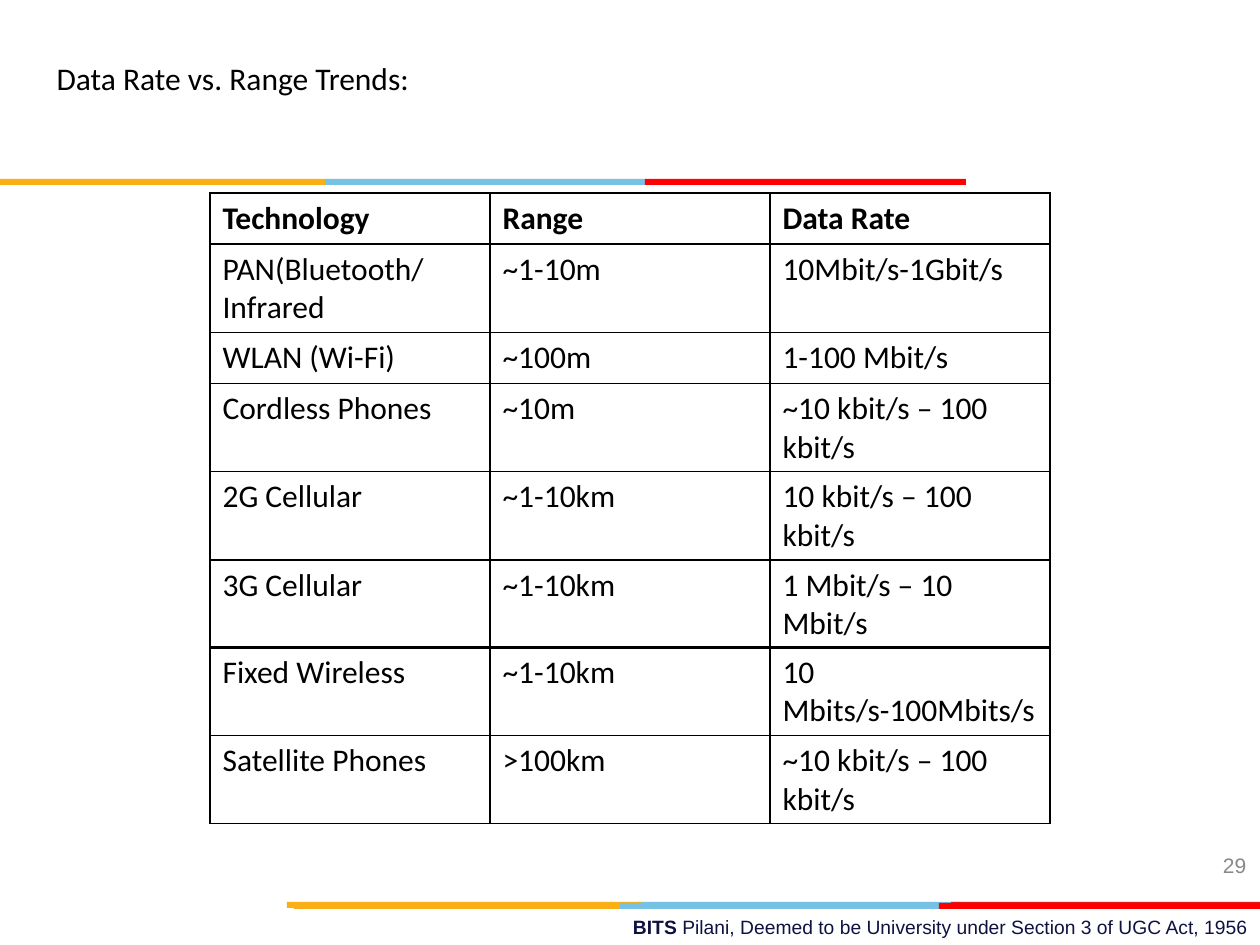
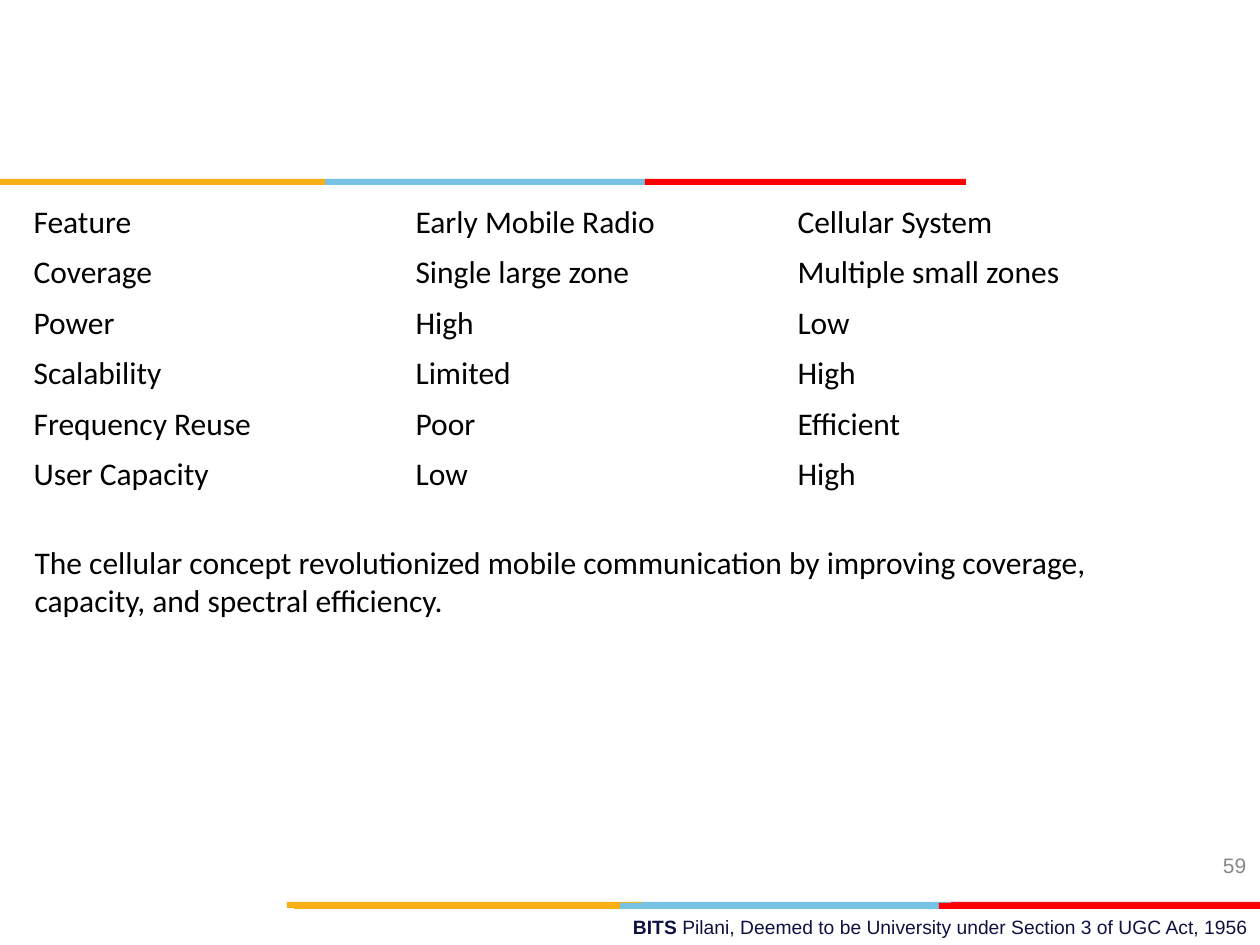
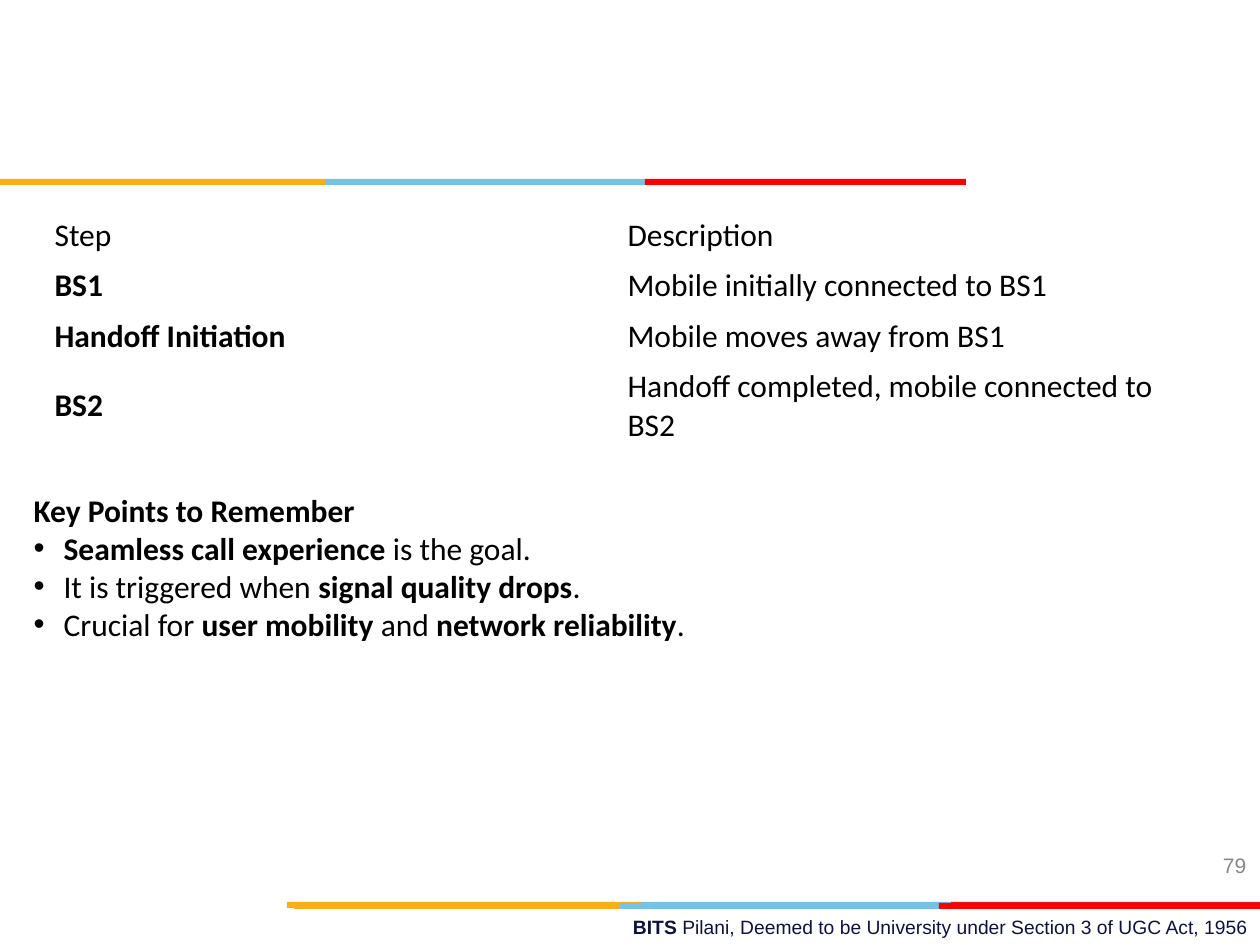
import dataclasses

import lxml.etree
import pptx
import pptx.dml.color
import pptx.enum.shapes
import pptx.enum.text
import pptx.oxml.ns
import pptx.util

PX = pptx.util.Inches(1) / 126
TOP = pptx.enum.text.MSO_ANCHOR.TOP
MIDDLE = pptx.enum.text.MSO_ANCHOR.MIDDLE


def px(length):
    return pptx.util.Emu(round(length * PX))


def color(value):
    return pptx.dml.color.RGBColor.from_string(value)


def child(parent, tag, **attributes):
    return lxml.etree.SubElement(parent, pptx.oxml.ns.qn(tag), attributes)


@dataclasses.dataclass(frozen=True)
class Theme:
    amber: str = "FBAF17"
    sky: str = "76C2E4"
    red: str = "FF0000"
    crimson: str = "E21C23"
    ink: str = "000000"
    navy: str = "0F1141"
    gray: str = "888888"
    text_font: str = "Calibri"
    footer_font: str = "Arial"
    text_size: int = 18
    number_size: int = 12
    footer_size: int = 11


class Lecture:
    """Hold the deck, its theme and the current page."""

    def __init__(self, theme):
        self.theme = theme
        self.deck = pptx.Presentation()
        self.deck.slide_width, self.deck.slide_height = px(1260), px(945)
        self.page = None

    def add_page(self, number, layout):
        self.page = self.deck.slides.add_slide(self.deck.slide_layouts[layout])
        theme = self.theme
        self.band(902, (638, 321, theme.sky), (951, 309, theme.crimson), (287, 355, theme.amber))
        self.band(903, (620, 321, theme.sky), (294, 326, theme.amber), (939, 321, theme.red))
        self.band(179, (325, 321, theme.sky), (0, 325, theme.amber), (645, 321, theme.red))
        self.label(1223, 853, 36, 26, str(number), theme.number_size, theme.gray)
        self.label(633, 915, 625, 25,
                   "**BITS **Pilani, Deemed to be University under Section 3 of UGC Act, 1956",
                   theme.footer_size, theme.navy)

    def band(self, top, *stripes):
        for left, width, fill in stripes:
            stripe = self.page.shapes.add_shape(
                pptx.enum.shapes.MSO_SHAPE.RECTANGLE, px(left), px(top), px(width), px(6))
            stripe.shadow.inherit = False
            stripe.fill.solid()
            stripe.fill.fore_color.rgb = color(fill)
            stripe.line.fill.background()

    def add_spans(self, para, text, size, ink, font):
        for index, part in enumerate(text.split("**")):
            if part:
                span = para.add_run()
                span.text = part
                span.font.name = font
                span.font.size = pptx.util.Pt(size)
                span.font.bold = index % 2 == 1
                span.font.color.rgb = color(ink)

    def add_body_spans(self, para, text):
        self.add_spans(para, text, self.theme.text_size, self.theme.ink, self.theme.text_font)

    def label(self, left, top, width, height, text, size, ink):
        box = self.page.shapes.add_textbox(px(left), px(top), px(width), px(height))
        frame = box.text_frame
        frame.word_wrap = True
        frame.margin_left = frame.margin_right = frame.margin_top = frame.margin_bottom = 0
        self.add_spans(frame.paragraphs[0], text, size, ink, self.theme.footer_font)

    def fill_placeholder(self, box, place, lines):
        box.left, box.top, box.width, box.height = map(px, place)
        frame = box.text_frame
        frame.word_wrap = True
        frame.auto_size = pptx.enum.text.MSO_AUTO_SIZE.NONE
        frame.vertical_anchor = TOP
        for index, line in enumerate(lines):
            para = frame.add_paragraph() if index else frame.paragraphs[0]
            para.alignment = pptx.enum.text.PP_ALIGN.LEFT
            para.space_before = pptx.util.Pt(0)
            bulleted = line.startswith("•")
            indent = px(30) if bulleted else 0
            properties = para._p.get_or_add_pPr()
            properties.set("marL", str(indent))
            properties.set("indent", str(-indent))
            if bulleted:
                child(properties, "a:buFont", typeface=self.theme.footer_font)
                child(properties, "a:buChar", char="•")
            else:
                child(properties, "a:buNone")
            self.add_body_spans(para, line.removeprefix("•"))

    def title(self, place, text):
        self.fill_placeholder(self.page.shapes.title, place, [text])

    def body(self, place, *lines):
        heading = self.page.shapes.title
        heading.element.getparent().remove(heading.element)
        self.fill_placeholder(self.page.placeholders[1], place, lines)

    def table(self, left, top, column, heights, rows, anchor=MIDDLE, bordered=False):
        columns = len(rows[0])
        grid = self.page.shapes.add_table(
            len(rows), columns, px(left), px(top), px(column * columns), px(sum(heights))).table
        grid.first_row = grid.horz_banding = False
        for index in range(columns):
            grid.columns[index].width = px(column)
        for row, height, texts in zip(grid.rows, heights, rows):
            row.height = px(height)
            for cell, text in zip(row.cells, texts):
                if bordered:
                    self.border(cell)
                cell.fill.background()
                cell.vertical_anchor = anchor
                self.add_body_spans(cell.text_frame.paragraphs[0], text)

    def border(self, cell):
        properties = cell._tc.get_or_add_tcPr()
        for side in ("a:lnL", "a:lnR", "a:lnT", "a:lnB"):
            line = child(properties, side, w=str(pptx.util.Pt(1)))
            child(child(line, "a:solidFill"), "a:srgbClr", val=self.theme.ink)


def main():
    lecture = Lecture(Theme())

    lecture.add_page(29, layout=5)
    lecture.table(210, 193, 280, [51, 88, 51, 88, 88, 88], [
        ["**Technology**", "**Range**", "**Data Rate**"],
        ["PAN(Bluetooth/Infrared", "~1-10m", "10Mbit/s-1Gbit/s"],
        ["WLAN (Wi-Fi)", "~100m", "1-100 Mbit/s"],
        ["Cordless Phones", "~10m", "~10 kbit/s – 100 kbit/s"],
        ["2G Cellular", "~1-10km", "10 kbit/s – 100 kbit/s"],
        ["3G Cellular", "~1-10km", "1 Mbit/s – 10 Mbit/s"],
    ], TOP, bordered=True)
    lecture.table(210, 647, 280, [88, 88], [
        ["Fixed Wireless", "~1-10km", "10 Mbits/s-100Mbits/s"],
        ["Satellite Phones", ">100km", "~10 kbit/s – 100 kbit/s"],
    ], TOP, bordered=True)
    lecture.title((44, 53, 712, 50), "Data Rate vs. Range Trends:")

    lecture.add_page(59, layout=1)
    lecture.table(21, 197, 382, [50] * 6, [
        ["Feature", "Early Mobile Radio", "Cellular System"],
        ["Coverage", "Single large zone", "Multiple small zones"],
        ["Power", "High", "Low"],
        ["Scalability", "Limited", "High"],
        ["Frequency Reuse", "Poor", "Efficient"],
        ["User Capacity", "Low", "High"],
    ])
    lecture.body((22, 537, 1193, 89),
                 "The cellular concept revolutionized mobile communication by improving "
                 "coverage, capacity, and spectral efficiency.")

    lecture.add_page(79, layout=1)
    lecture.table(42, 210, 573, [50, 50, 50, 89], [
        ["Step", "Description"],
        ["**BS1**", "Mobile initially connected to BS1"],
        ["**Handoff Initiation**", "Mobile moves away from BS1"],
        ["**BS2**", "Handoff completed, mobile connected to BS2"],
    ])
    lecture.body((21, 485, 1218, 165),
                 "**Key Points to Remember**",
                 "•**Seamless call experience** is the goal.",
                 "•It is triggered when **signal quality drops**.",
                 "•Crucial for **user mobility** and **network reliability**.")

    lecture.deck.save("out.pptx")


if __name__ == "__main__":
    main()
